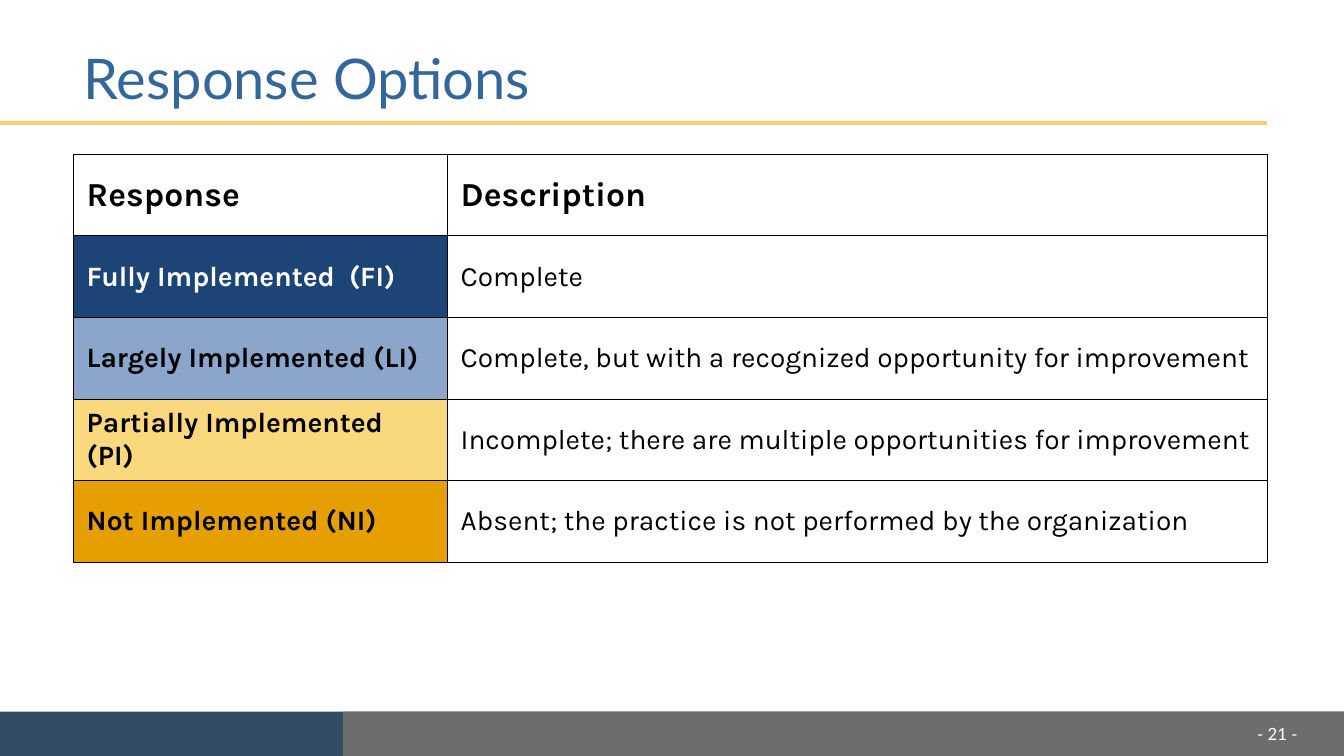
from dataclasses import dataclass
from typing import Optional

from lxml.etree import SubElement
from pptx import Presentation
from pptx.dml.color import RGBColor
from pptx.enum.shapes import MSO_CONNECTOR, MSO_SHAPE
from pptx.enum.text import MSO_ANCHOR, PP_ALIGN
from pptx.oxml.ns import qn
from pptx.util import Emu, Pt

EMU_PER_PX = 9144  # 100 px to the inch

BLACK = RGBColor(0x00, 0x00, 0x00)
WHITE = RGBColor(0xFF, 0xFF, 0xFF)
TITLE_BLUE = RGBColor(0x33, 0x66, 0x9A)
RULE_YELLOW = RGBColor(0xFF, 0xCB, 0x77)
FOOTER_BLUE = RGBColor(0x31, 0x4C, 0x63)
FOOTER_GRAY = RGBColor(0x6E, 0x6D, 0x6E)
FULL_BLUE = RGBColor(0x1D, 0x44, 0x77)
LARGE_BLUE = RGBColor(0x8B, 0xA6, 0xCA)
PARTIAL_YELLOW = RGBColor(0xFA, 0xD9, 0x7E)
NOT_ORANGE = RGBColor(0xE6, 0x9F, 0x00)

SLIDE_WIDTH, SLIDE_HEIGHT = 1333, 750
FOOTER_TOP = 706
COLUMN_WIDTHS = (371, 813)
ROW_HEIGHT = 81


@dataclass(frozen=True)
class FooterBar:
    left: int
    color: RGBColor


@dataclass(frozen=True)
class ResponseRow:
    response: str
    description: str
    fill: Optional[RGBColor] = None
    response_color: RGBColor = BLACK
    size: int = 20
    bold_description: bool = False


FOOTER_BARS = (FooterBar(0, FOOTER_BLUE), FooterBar(340, FOOTER_GRAY))

ROWS = (
    ResponseRow("Response", "Description", size=24, bold_description=True),
    ResponseRow("Fully Implemented  (FI)", "Complete", FULL_BLUE, WHITE),
    ResponseRow("Largely Implemented (LI)",
                "Complete, but with a recognized opportunity for improvement", LARGE_BLUE),
    ResponseRow("Partially Implemented (PI)",
                "Incomplete; there are multiple opportunities for improvement", PARTIAL_YELLOW),
    ResponseRow("Not Implemented (NI)",
                "Absent; the practice is not performed by the organization", NOT_ORANGE),
)


def px(length: int) -> Emu:
    return Emu(length * EMU_PER_PX)


def set_font(para, name: str, size: int, color: RGBColor, bold: bool = False) -> None:
    para.font.name = name
    para.font.size = Pt(size)
    para.font.bold = bold
    para.font.color.rgb = color


def add_footer_bar(page, bar: FooterBar) -> None:
    shape = page.shapes.add_shape(
        MSO_SHAPE.RECTANGLE, px(bar.left), px(FOOTER_TOP),
        px(SLIDE_WIDTH - bar.left), px(SLIDE_HEIGHT - FOOTER_TOP))
    shape.shadow.inherit = False
    shape.fill.solid()
    shape.fill.fore_color.rgb = bar.color
    shape.line.fill.background()


def add_title_rule(page) -> None:
    rule = page.shapes.add_connector(MSO_CONNECTOR.STRAIGHT, px(0), px(122), px(1257), px(122))
    rule.line.color.rgb = RULE_YELLOW
    rule.line.width = Pt(3)
    SubElement(rule._element.spPr, qn("a:effectLst"))


def set_title(page) -> None:
    title = page.shapes.title
    title.left, title.top, title.width, title.height = px(73), px(44), px(1184), px(74)
    frame = title.text_frame
    frame.text = "Response Options"
    frame.vertical_anchor = MSO_ANCHOR.MIDDLE
    para = frame.paragraphs[0]
    para.alignment = PP_ALIGN.LEFT
    para.line_spacing = 0.9
    set_font(para, "Lato", 40, TITLE_BLUE)


def add_borders(cell) -> None:
    properties = cell._tc.get_or_add_tcPr()
    for side in ("a:lnL", "a:lnR", "a:lnT", "a:lnB"):
        line = SubElement(properties, qn(side), w=str(Pt(1)))
        fill = SubElement(line, qn("a:solidFill"))
        SubElement(fill, qn("a:srgbClr"), val=str(BLACK))


def fill_cell(cell, text: str, size: int, color: RGBColor, bold: bool,
              fill: Optional[RGBColor] = None) -> None:
    cell.text = text
    cell.vertical_anchor = MSO_ANCHOR.MIDDLE
    cell.margin_left = cell.margin_right = px(13)
    cell.margin_top = cell.margin_bottom = px(7)
    set_font(cell.text_frame.paragraphs[0], "Karla", size, color, bold)
    add_borders(cell)
    if fill is None:
        cell.fill.background()
    else:
        cell.fill.solid()
        cell.fill.fore_color.rgb = fill


def add_response_table(page) -> None:
    table = page.shapes.add_table(
        len(ROWS), len(COLUMN_WIDTHS), px(73), px(153),
        px(sum(COLUMN_WIDTHS)), px(ROW_HEIGHT * len(ROWS))).table
    table.first_row = table.horz_banding = False
    for column, width in zip(table.columns, COLUMN_WIDTHS):
        column.width = px(width)
    for index, row in enumerate(ROWS):
        table.rows[index].height = px(ROW_HEIGHT)
        fill_cell(table.cell(index, 0), row.response, row.size,
                  row.response_color, True, row.fill)
        fill_cell(table.cell(index, 1), row.description, row.size,
                  BLACK, row.bold_description)


def add_page_number(page) -> None:
    box = page.shapes.add_textbox(px(1157), px(708), px(140), px(40))
    frame = box.text_frame
    frame.word_wrap = True
    frame.vertical_anchor = MSO_ANCHOR.MIDDLE
    frame.text = "- 21 -"
    para = frame.paragraphs[0]
    para.alignment = PP_ALIGN.RIGHT
    set_font(para, "Lato", 12, WHITE)


def main() -> None:
    deck = Presentation()
    deck.slide_width, deck.slide_height = px(SLIDE_WIDTH), px(SLIDE_HEIGHT)
    page = deck.slides.add_slide(deck.slide_layouts.get_by_name("Title Only"))
    for bar in FOOTER_BARS:
        add_footer_bar(page, bar)
    add_title_rule(page)
    set_title(page)
    add_response_table(page)
    add_page_number(page)
    deck.save("out.pptx")


if __name__ == "__main__":
    main()
